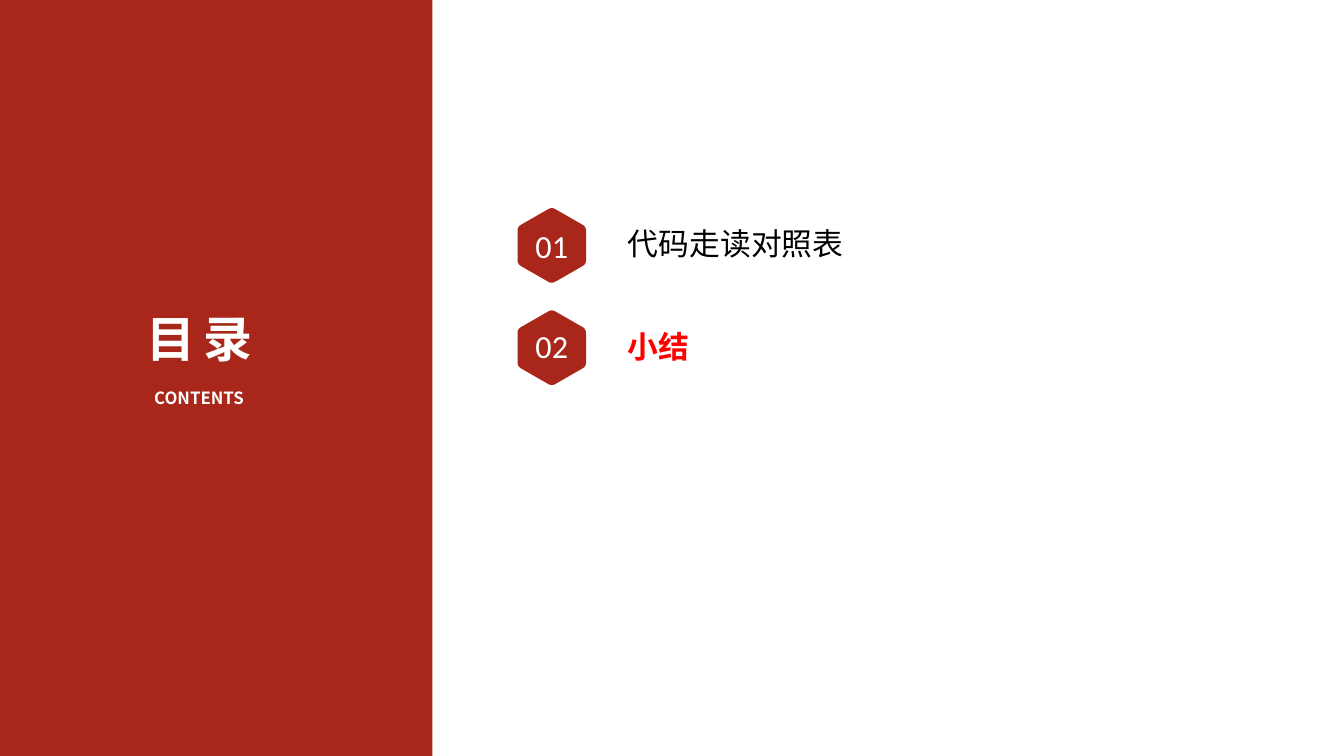
from lxml.etree import SubElement
from pptx import Presentation
from pptx.dml.color import RGBColor
from pptx.enum.shapes import MSO_SHAPE as Shape
from pptx.enum.text import MSO_ANCHOR as Anchor, PP_ALIGN as Align
from pptx.oxml.ns import qn
from pptx.util import Pt

PX = 9144  # 100 px to the inch
COLORS = {"brick": "A8271A", "white": "FFFFFF", "black": "000000", "red": "FF0000"}
CJK = "Noto Sans CJK SC"

deck = Presentation()
deck.slide_width, deck.slide_height = 2667 * PX, 1500 * PX
page = deck.slides.add_slide(deck.slide_layouts[6])


def add_text(text, left, top, width, height, size, color, font=CJK, bold=False,
             align=Align.CENTER, anchor=Anchor.TOP, spacing=0):
    """Place one line of text; spacing is between letters, in points."""
    box = page.shapes.add_textbox(left * PX, top * PX, width * PX, height * PX)
    frame = box.text_frame
    frame.word_wrap = True
    frame.vertical_anchor = anchor
    frame.margin_left = frame.margin_right = 5 * PX
    frame.margin_top = frame.margin_bottom = 5 * PX
    para = frame.paragraphs[0]
    para.text = text
    para.alignment = align
    para.font.size, para.font.bold, para.font.name = Pt(size), bold, font
    para.font.color.rgb = RGBColor.from_string(COLORS[color])
    properties = para.font._element
    SubElement(properties, qn("a:ea"), typeface=font)
    if spacing:
        properties.set("spc", str(round(spacing * 100)))


def paint(shape):
    shape.fill.solid()
    shape.fill.fore_color.rgb = RGBColor.from_string(COLORS["brick"])
    shape.line.fill.background()
    shape.shadow.inherit = False


# Title panel
paint(page.shapes.add_shape(Shape.RECTANGLE, 0, 0, 858 * PX, 1500 * PX))
add_text("CONTENTS", 187, 764, 416, 99, 24, "white", bold=True)
add_text("目录", 112, 608, 568, 285, 70, "white", bold=True, spacing=11.7)

# Hexagon outline around its centre, each corner rounded by a quadratic curve
corners = [(0, -76), (68, -37), (68, 37), (0, 76), (-68, 37), (-68, -37)]
CUT, STEPS = 8, 6
outline = []
for index, (x, y) in enumerate(corners):
    ends = []
    for near_x, near_y in (corners[index - 1], corners[(index + 1) % 6]):
        share = CUT / ((near_x - x) ** 2 + (near_y - y) ** 2) ** 0.5
        ends.append((x + (near_x - x) * share, y + (near_y - y) * share))
    (start_x, start_y), (end_x, end_y) = ends
    for step in range(STEPS + 1):
        t = step / STEPS
        a, b, c = (1 - t) ** 2, 2 * t * (1 - t), t ** 2
        outline.append((a * start_x + b * x + c * end_x, a * start_y + b * y + c * end_y))

# Agenda: number, its top, hexagon centre, label, its top, height, colour, bold
agenda = [
    ("01", 434, 487, "代码走读对照表", 440, 99, "black", False),
    ("02", 633, 690, "小结", 646, 73, "red", True),
]
for number, number_top, center, label, label_top, label_height, color, bold in agenda:
    points = [((1095 + x) * PX, (center + y) * PX) for x, y in outline]
    builder = page.shapes.build_freeform(*points[0])
    builder.add_line_segments(points[1:], close=True)
    paint(builder.convert_to_shape())
    add_text(number, 1008, number_top, 174, 105, 46, "white", font="Calibri",
             anchor=Anchor.MIDDLE)
    add_text(label, 1241, label_top, 617, label_height, 44, color, bold=bold,
             align=Align.LEFT)

deck.save("out.pptx")
